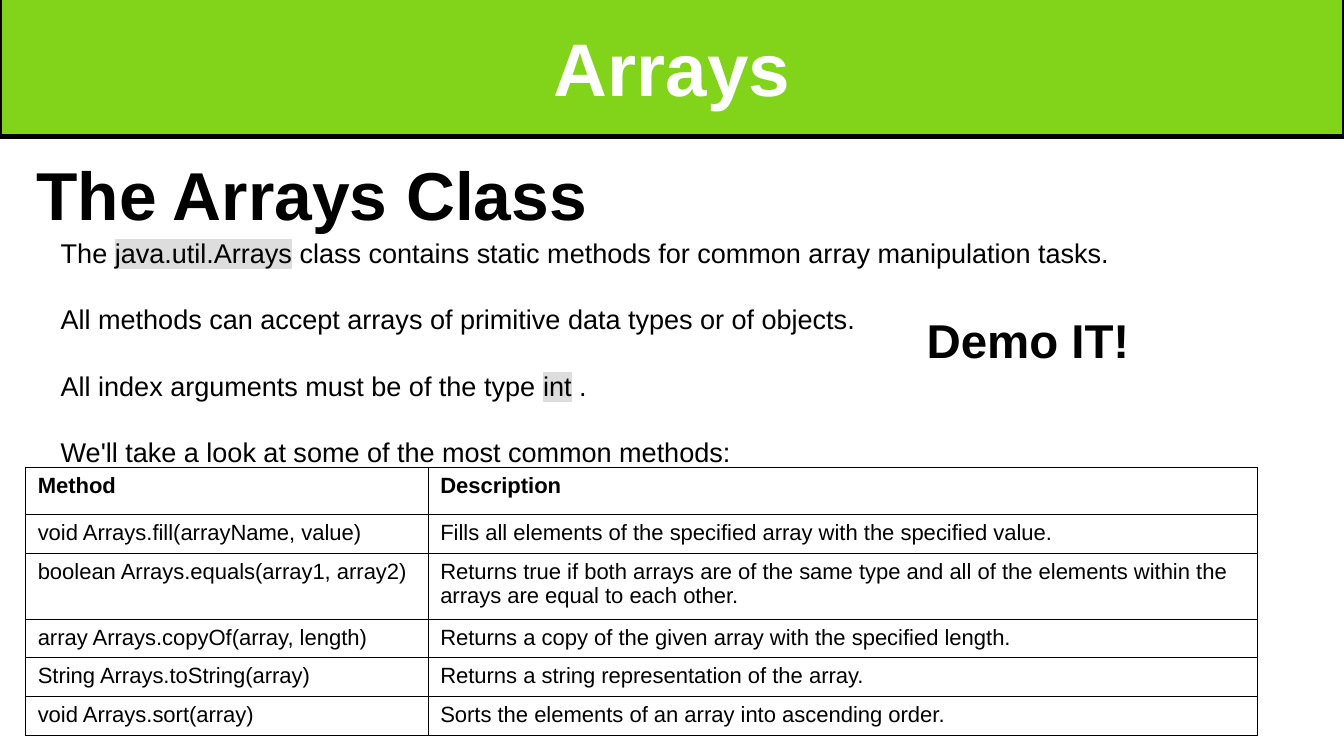
import pptx
import pptx.util
import pptx.dml.color
import pptx.enum.shapes
import pptx.enum.text
import pptx.oxml
import pptx.oxml.ns
from pptx.util import Inches

RGBColor = pptx.dml.color.RGBColor
ALIGN = pptx.enum.text.PP_ALIGN
ANCHOR = pptx.enum.text.MSO_ANCHOR

# Content: each paragraph is a list of (text, is code)
BANNER = "Arrays"
HEADING = "The Arrays Class"
DEMO = "Demo IT!"
INTRODUCTION = [
    [("The ", False), ("java.util.Arrays", True),
     (" class contains static methods for common array manipulation tasks.", False)],
    [("All methods can accept arrays of primitive data types or of objects.", False)],
    [("All index arguments must be of the type ", False), ("int", True), (" .", False)],
    [("We'll take a look at some of the most common methods:", False)],
]
METHODS = [
    ("Method", "Description"),
    ("void Arrays.fill(arrayName, value)",
     "Fills all elements of the specified array with the specified value."),
    ("boolean Arrays.equals(array1, array2)",
     "Returns true if both arrays are of the same type and all of the elements "
     "within the arrays are equal to each other."),
    ("array Arrays.copyOf(array, length)",
     "Returns a copy of the given array with the specified length."),
    ("String Arrays.toString(array)", "Returns a string representation of the array."),
    ("void Arrays.sort(array)", "Sorts the elements of an array into ascending order."),
]
COLUMN_WIDTHS = [3.3, 6.8]
ROW_HEIGHTS = [0.39, 0.31, 0.54, 0.31, 0.32, 0.32]

# Style
FONT = "Arial"
BLACK = RGBColor(0x00, 0x00, 0x00)
WHITE = RGBColor(0xFF, 0xFF, 0xFF)
GREEN = RGBColor(0x81, 0xD4, 0x1A)
CODE_GRAY = RGBColor(0xDD, 0xDD, 0xDD)
BORDER_WIDTH = pptx.util.Pt(0.57)
NAMESPACE = pptx.oxml.ns.nsdecls("a")


def write_text(frame, paragraphs, size, bold=False, color=BLACK, align=ALIGN.LEFT,
               gap=0, anchor=ANCHOR.TOP, margins=(0.1, 0.05)):
    """Fill a text frame; paragraphs is a string or lists of (text, is code)."""
    if isinstance(paragraphs, str):
        paragraphs = [[(paragraphs, False)]]
    frame.word_wrap = True
    frame.vertical_anchor = anchor
    frame.margin_left = frame.margin_right = Inches(margins[0])
    frame.margin_top = frame.margin_bottom = Inches(margins[1])
    for index, pieces in enumerate(paragraphs):
        paragraph = frame.add_paragraph() if index else frame.paragraphs[0]
        paragraph.alignment = align
        paragraph.space_before = pptx.util.Pt(gap if index else 0)
        for text, is_code in pieces:
            run = paragraph.add_run()
            run.text = text
            font = run.font
            font.name, font.size, font.bold = FONT, pptx.util.Pt(size), bold
            font.color.rgb = color
            if is_code:
                highlight = pptx.oxml.parse_xml(
                    f'<a:highlight {NAMESPACE}><a:srgbClr val="{CODE_GRAY}"/></a:highlight>')
                run._r.rPr.find(pptx.oxml.ns.qn("a:latin")).addprevious(highlight)


def add_text_box(slide, place, paragraphs, size, **text_format):
    box = slide.shapes.add_textbox(*map(Inches, place))
    write_text(box.text_frame, paragraphs, size, **text_format)


def add_borders(cell):
    properties = cell._tc.get_or_add_tcPr()
    for index, side in enumerate("LRTB"):
        properties.insert(index, pptx.oxml.parse_xml(
            f'<a:ln{side} {NAMESPACE} w="{int(BORDER_WIDTH)}"><a:solidFill>'
            f'<a:srgbClr val="{BLACK}"/></a:solidFill></a:ln{side}>'))


def add_method_table(slide, left, top):
    frame = slide.shapes.add_table(
        len(METHODS), len(COLUMN_WIDTHS), Inches(left), Inches(top),
        Inches(sum(COLUMN_WIDTHS)), Inches(sum(ROW_HEIGHTS)))
    table = frame.table
    table.horz_banding = False
    for column, width in zip(table.columns, COLUMN_WIDTHS):
        column.width = Inches(width)
    for row_index, (row, height) in enumerate(zip(table.rows, ROW_HEIGHTS)):
        row.height = Inches(height)
        for cell, text in zip(row.cells, METHODS[row_index]):
            cell.fill.solid()
            cell.fill.fore_color.rgb = WHITE
            add_borders(cell)
            cell.margin_left = cell.margin_right = Inches(0.1)
            cell.margin_top = cell.margin_bottom = Inches(0.05)
            write_text(cell.text_frame, text, 13, bold=row_index == 0)


def main():
    presentation = pptx.Presentation()
    presentation.slide_width = Inches(11.02)
    presentation.slide_height = Inches(6.2)
    slide = presentation.slides.add_slide(presentation.slide_layouts[6])

    # Banner
    banner = slide.shapes.add_shape(
        pptx.enum.shapes.MSO_SHAPE.RECTANGLE,
        Inches(0), Inches(-0.02), Inches(11.02), Inches(1.14))
    banner.shadow.inherit = False
    banner.fill.solid()
    banner.fill.fore_color.rgb = GREEN
    banner.line.color.rgb = BLACK
    banner.line.width = pptx.util.Pt(2.89)
    write_text(banner.text_frame, BANNER, 44, bold=True, color=WHITE,
               align=ALIGN.CENTER, anchor=ANCHOR.MIDDLE, margins=(0.02, 0.02))

    # Body
    add_text_box(slide, (0.2, 1.2, 8.6, 0.8), HEADING, 40, bold=True)
    add_text_box(slide, (0.4, 1.89, 9.8, 1.83), INTRODUCTION, 16, gap=20)
    add_method_table(slide, 0.21, 3.83)
    add_text_box(slide, (7.5, 2.5, 2.5, 0.53), DEMO, 28, bold=True)

    presentation.save("out.pptx")


if __name__ == "__main__":
    main()
